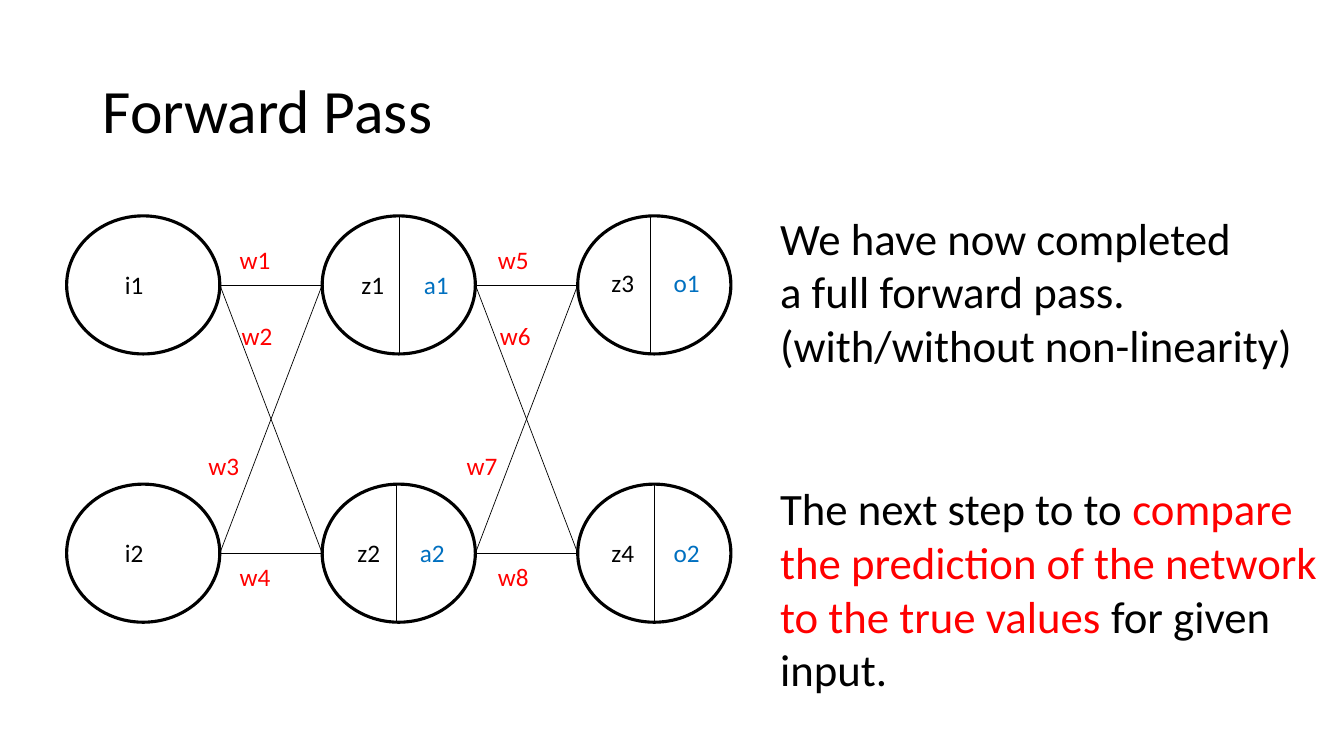
"""Build the "Forward Pass" slide: a small neural network with an explanation."""
from itertools import product

from lxml.etree import SubElement
from pptx import Presentation
from pptx.dml.color import RGBColor
from pptx.enum.shapes import MSO_CONNECTOR, MSO_SHAPE
from pptx.enum.text import MSO_ANCHOR, MSO_AUTO_SIZE, PP_ALIGN
from pptx.oxml.ns import qn
from pptx.util import Cm, Pt

BLACK = RGBColor(0x00, 0x00, 0x00)
WHITE = RGBColor(0xFF, 0xFF, 0xFF)
RED = RGBColor(0xFF, 0x00, 0x00)
BLUE = RGBColor(0x00, 0x70, 0xC0)
FONT = "Calibri"

NODE_WIDTH, NODE_HEIGHT = 3.86, 3.48
LAYERS = [1.68 + 6.44 * layer for layer in range(3)]
ROWS = [5.44 + 6.76 * row for row in range(2)]
UNIT_TAB, WEIGHT_TAB = 1.57, 6.51

INPUTS = [("i1", 2.9, 6.65), ("i2", 2.9, 13.41)]
UNITS = [
    ("z1", "a1", 8.86, 6.65),
    ("z2", "a2", 8.76, 13.41),
    ("z3", "o1", 15.16, 6.6),
    ("z4", "o2", 15.16, 13.41),
]
DIVIDERS = [(10.06, ROWS[0]), (9.98, ROWS[1]), (16.38, ROWS[0]), (16.48, ROWS[1])]
WEIGHTS = [
    ("w1", "w5", 5.79, 6.02),
    ("w4", "w8", 5.79, 14.02),
    ("w3", "w7", 5.0, 11.23),
    ("w2", "w6", 5.84, 7.95),
]
EXPLANATION = [
    (0, [("We have now completed", BLACK)]),
    (0, [("a full forward pass. (with/without non-linearity)", BLACK)]),
    (78, [("The next step to to ", BLACK), ("compare", RED)]),
    (0, [("the prediction of the network", RED)]),
    (0, [("to the true values", RED), (" for given input.", BLACK)]),
]


def add_run(paragraph, text, size, color):
    """Append one formatted run to a paragraph."""
    run = paragraph.add_run()
    run.text = text
    run.font.name = FONT
    run.font.size = Pt(size)
    run.font.color.rgb = color


def place(shape, left, top, width, height):
    """Move and size a shape, in centimetres."""
    shape.left, shape.top = Cm(left), Cm(top)
    shape.width, shape.height = Cm(width), Cm(height)


def fill_title(title, text):
    """Format the title placeholder and write its text."""
    place(title, 2.33, 1.01, 29.21, 3.68)
    frame = title.text_frame
    frame.vertical_anchor = MSO_ANCHOR.MIDDLE
    frame.auto_size = MSO_AUTO_SIZE.NONE
    heading = frame.paragraphs[0]
    heading.alignment = PP_ALIGN.LEFT
    heading.line_spacing = 0.9
    add_run(heading, text, 44, BLACK)


def fill_explanation(body):
    """Write the explanation into the body placeholder without bullets."""
    place(body, 19.66, 5.3, 14.5, 12.32)
    frame = body.text_frame
    frame.word_wrap = True
    frame.auto_size = MSO_AUTO_SIZE.NONE
    frame.vertical_anchor = MSO_ANCHOR.TOP
    frame.margin_left = frame.margin_right = Cm(0)
    frame.margin_top = frame.margin_bottom = Cm(0)
    for index, (gap, parts) in enumerate(EXPLANATION):
        paragraph = frame.add_paragraph() if index else frame.paragraphs[0]
        paragraph.alignment = PP_ALIGN.LEFT
        paragraph.space_before = Pt(gap)
        properties = paragraph._p.get_or_add_pPr()
        properties.set("marL", "0")
        properties.set("indent", "0")
        SubElement(properties, qn("a:buNone"))
        for text, color in parts:
            add_run(paragraph, text, 32, color)


def add_node(slide, left, top):
    """Add one neuron as an outlined ellipse."""
    node = slide.shapes.add_shape(
        MSO_SHAPE.OVAL, Cm(left), Cm(top), Cm(NODE_WIDTH), Cm(NODE_HEIGHT)
    )
    node.shadow.inherit = False
    node.fill.solid()
    node.fill.fore_color.rgb = WHITE
    node.line.color.rgb = BLACK
    node.line.width = Pt(2.25)


def add_line(slide, start, end):
    """Add a thin straight line between two points."""
    line = slide.shapes.add_connector(
        MSO_CONNECTOR.STRAIGHT, Cm(start[0]), Cm(start[1]), Cm(end[0]), Cm(end[1])
    )
    line.line.color.rgb = BLACK
    line.line.width = Pt(0.5)
    SubElement(line._element.spPr, qn("a:effectLst"))


def add_label(slide, left, top, width, parts, tab=None):
    """Add a one-line label, with an optional tab stop between its parts."""
    label = slide.shapes.add_textbox(Cm(left), Cm(top), Cm(width), Cm(1.03))
    label.text_frame.word_wrap = True
    paragraph = label.text_frame.paragraphs[0]
    if tab:
        stops = SubElement(paragraph._p.get_or_add_pPr(), qn("a:tabLst"))
        SubElement(stops, qn("a:tab"), pos=str(Cm(tab)), algn="l")
    for text, color in parts:
        add_run(paragraph, text, 18, color)


def add_connections(slide):
    """Join every neuron to each neuron of the next layer."""
    centres = [top + NODE_HEIGHT / 2 for top in ROWS]
    for source, target in zip(LAYERS, LAYERS[1:]):
        for start, end in product(centres, repeat=2):
            add_line(slide, (source + NODE_WIDTH, start), (target, end))


def main():
    """Build and save the slide."""
    presentation = Presentation()
    presentation.slide_width, presentation.slide_height = Cm(33.87), Cm(19.05)
    slide = presentation.slides.add_slide(presentation.slide_layouts[1])
    fill_title(slide.shapes.title, "Forward Pass")
    fill_explanation(slide.placeholders[1])
    for left, top in product(LAYERS, ROWS):
        add_node(slide, left, top)
    for name, left, top in INPUTS:
        add_label(slide, left, top, 1.68, [(name, BLACK)])
    for total, output, left, top in UNITS:
        parts = [(total + "\t", BLACK), (output, BLUE)]
        add_label(slide, left, top, 3.56, parts, UNIT_TAB)
    add_connections(slide)
    for first, second, left, top in WEIGHTS:
        parts = [(first + "\t" + second, RED)]
        add_label(slide, left, top, 15.88, parts, WEIGHT_TAB)
    for left, top in DIVIDERS:
        add_line(slide, (left, top), (left, top + NODE_HEIGHT))
    presentation.save("out.pptx")


if __name__ == "__main__":
    main()
